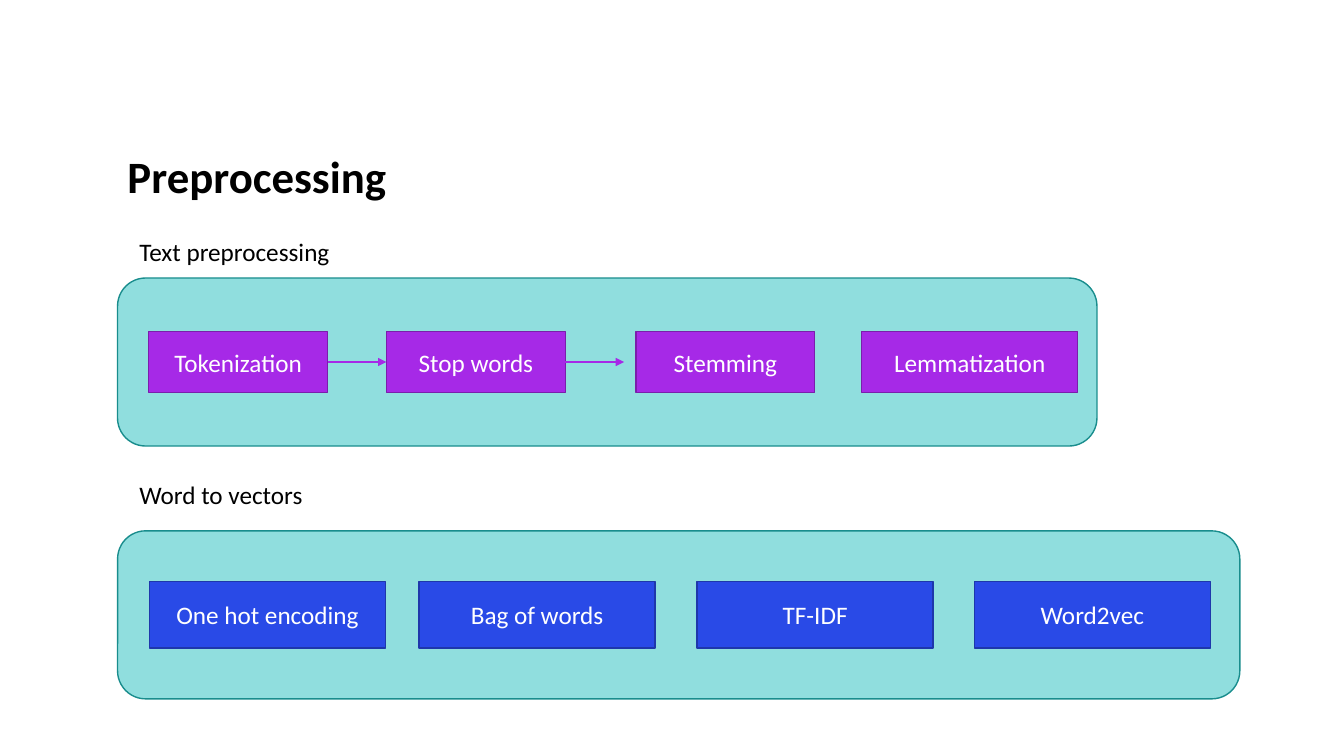
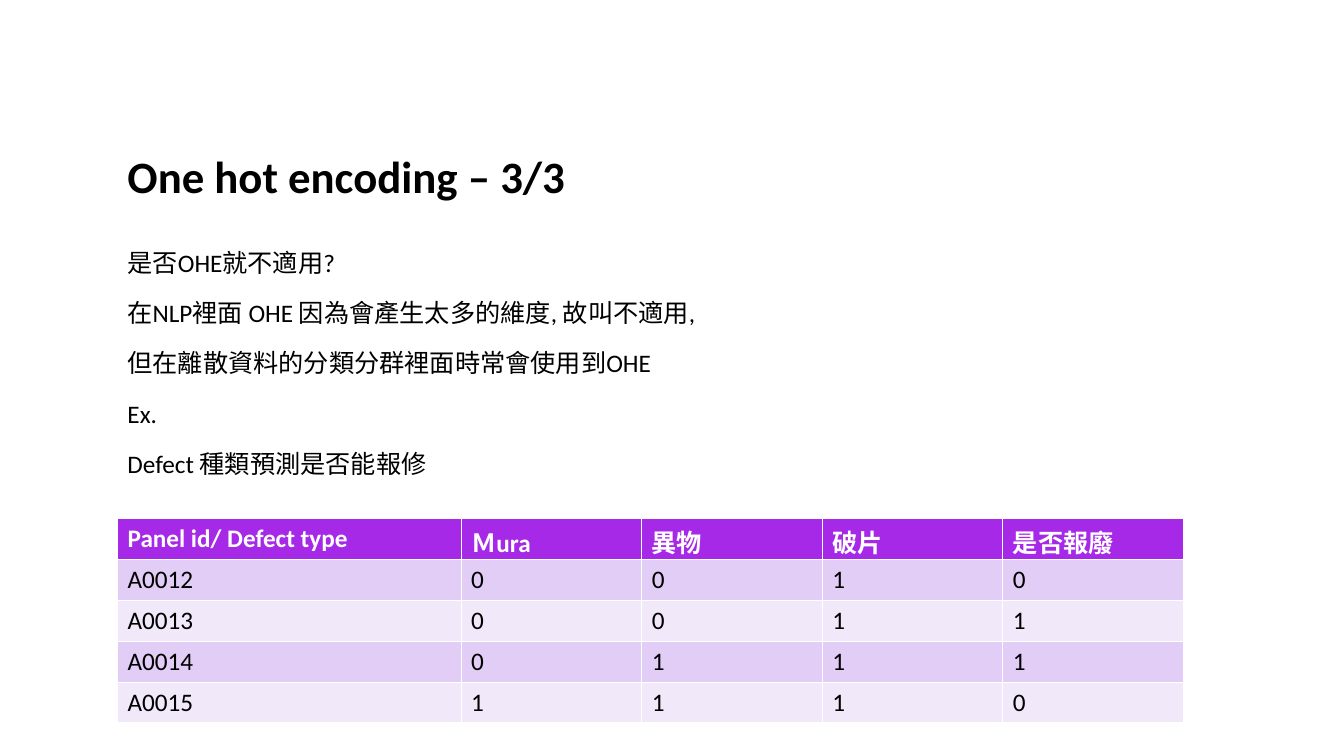
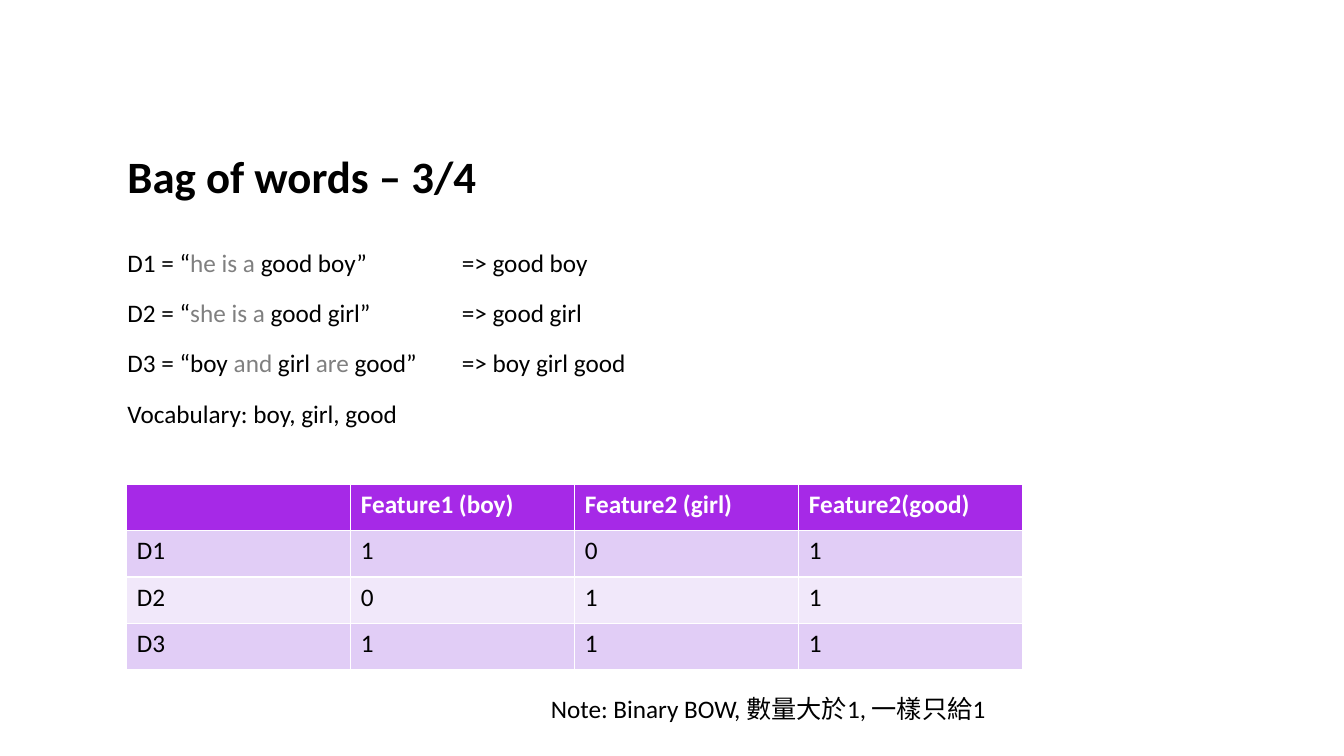
from lxml import etree
from pptx import Presentation
from pptx import util as u
from pptx.dml.color import RGBColor
from pptx.enum import shapes, text
from pptx.oxml.ns import qn

BLACK, WHITE, GREY = "000000", "FFFFFF", "808080"
PURPLE, PURPLE_EDGE = "A629E7", "7B1EAB"
BLUE, BLUE_EDGE = "294AE7", "1E37AB"
TEAL, TEAL_EDGE = "22BFBE", "198D8D"
BANDS = ("E1CDF6", "F1E8FA")
LEFT, CONTENT_WIDTH = 14, 116.6
PANEL_HEIGHT, LABEL_HEIGHT = 20, 4.8


def colour(value):
    return RGBColor.from_string(value)


class Deck:
    """Holds the style and the current slide, measured on a grid of 160 columns by 90 rows."""

    font_name = "Calibri"
    text_size = 18
    title_size = 32

    def __init__(self, columns=160, rows=90):
        self.presentation = Presentation()
        self.presentation.slide_width = u.Inches(13.333333)
        self.presentation.slide_height = u.Inches(7.5)
        self.cell = self.presentation.slide_height / rows
        self.presentation.slide_width = self.grid(columns)

    def grid(self, *cells):
        lengths = [u.Emu(round(cell * self.cell)) for cell in cells]
        return lengths if len(lengths) > 1 else lengths[0]

    def add_slide(self, title):
        self.slide = self.presentation.slides.add_slide(self.presentation.slide_layouts[6])
        frame = self.text_box(LEFT, 12.25, CONTENT_WIDTH, 12.5)
        frame.vertical_anchor = text.MSO_ANCHOR.BOTTOM
        paragraph = frame.paragraphs[0]
        paragraph.line_spacing = 0.9
        self.run(paragraph, title, size=self.title_size, bold=True)

    def run(self, paragraph, words, ink=BLACK, size=None, bold=False):
        run = paragraph.add_run()
        run.text = words
        run.font.name = self.font_name
        run.font.size = u.Pt(size or self.text_size)
        run.font.bold = bold
        run.font.color.rgb = colour(ink)

    def text_box(self, left, top, width, height):
        frame = self.slide.shapes.add_textbox(*self.grid(left, top, width, height)).text_frame
        frame.word_wrap = True
        return frame

    def label(self, words, left, top, width):
        frame = self.text_box(left, top, width, LABEL_HEIGHT)
        frame.word_wrap = False
        frame.auto_size = text.MSO_AUTO_SIZE.SHAPE_TO_FIT_TEXT
        self.run(frame.paragraphs[0], words)

    def body(self, lines, tab=None):
        frame = self.text_box(LEFT, 28.1, CONTENT_WIDTH, 48.2)
        for index, line in enumerate(lines):
            paragraph = frame.add_paragraph() if index else frame.paragraphs[0]
            paragraph.line_spacing = 1.2
            if index:
                paragraph.space_before = u.Pt(10)
            if tab:
                tabs = etree.SubElement(paragraph._p.get_or_add_pPr(), qn("a:tabLst"))
                etree.SubElement(tabs, qn("a:tab"), pos=str(self.grid(tab)), algn="l")
            for words, ink in line:
                self.run(paragraph, words, ink)

    def block(self, kind, left, top, width, height, fill, edge):
        shape = self.slide.shapes.add_shape(kind, *self.grid(left, top, width, height))
        shape.shadow.inherit = False
        shape.fill.solid()
        shape.fill.fore_color.rgb = colour(fill)
        shape.line.color.rgb = colour(edge)
        shape.line.width = u.Pt(1)
        return shape

    def panel(self, top, width):
        kind = shapes.MSO_SHAPE.ROUNDED_RECTANGLE
        shape = self.block(kind, LEFT, top, width, PANEL_HEIGHT, TEAL, TEAL_EDGE)
        fill = shape.element.spPr.find(qn("a:solidFill"))
        etree.SubElement(fill[0], qn("a:alpha"), val="50000")

    def steps(self, panel_top, height, items, fill, edge):
        top = panel_top + (PANEL_HEIGHT - height) / 2
        boxes = []
        for words, left, width in items:
            shape = self.block(shapes.MSO_SHAPE.RECTANGLE, left, top, width, height, fill, edge)
            shape.text_frame.vertical_anchor = text.MSO_ANCHOR.MIDDLE
            paragraph = shape.text_frame.paragraphs[0]
            paragraph.alignment = text.PP_ALIGN.CENTER
            self.run(paragraph, words, WHITE)
            boxes.append(shape)
        return boxes

    def arrow(self, source, length, target=None):
        x, y = source.left + source.width, source.top + source.height // 2
        end = x + self.grid(length)
        connector = self.slide.shapes.add_connector(shapes.MSO_CONNECTOR.STRAIGHT, x, y, end, y)
        connector.begin_connect(source, 3)
        if target is not None:
            connector.end_connect(target, 1)
        connector.line.color.rgb = colour(PURPLE)
        connector.line.width = u.Pt(1.5)
        properties = connector.element.spPr
        etree.SubElement(properties.find(qn("a:ln")), qn("a:tailEnd"), type="triangle")
        etree.SubElement(properties, qn("a:effectLst"))

    def table(self, left, top, widths, row_height, rows):
        area = self.grid(left, top, sum(widths), row_height * len(rows))
        table = self.slide.shapes.add_table(len(rows), len(widths), *area).table
        for column, width in zip(table.columns, widths):
            column.width = self.grid(width)
        for row_index, row in enumerate(rows):
            header = row_index == 0
            table.rows[row_index].height = self.grid(row_height)
            for column_index, words in enumerate(row):
                cell = table.cell(row_index, column_index)
                cell.fill.solid()
                cell.fill.fore_color.rgb = colour(PURPLE if header else BANDS[(row_index - 1) % 2])
                if words:
                    paragraph = cell.text_frame.paragraphs[0]
                    self.run(paragraph, words, WHITE if header else BLACK, bold=header)


def preprocessing(deck):
    deck.add_slide("Preprocessing")
    text_top, vector_top = 33.1, 63.2
    deck.panel(text_top, CONTENT_WIDTH)
    tokenization, stop_words, *_ = deck.steps(text_top, 7.3, [
        ("Tokenization", 17.7, 21.3),
        ("Stop words", 46, 21.3),
        ("Stemming", 75.7, 21.3),
        ("Lemmatization", 102.6, 25.7),
    ], PURPLE, PURPLE_EDGE)
    deck.arrow(tokenization, 7, stop_words)
    deck.arrow(stop_words, 7)
    deck.label("Text preprocessing", 15.4, 27.5, 29.4)
    deck.panel(vector_top, 133.6)
    deck.label("Word to vectors", 15.4, 56.5, 24.8)
    deck.steps(vector_top, 7.9, [
        ("One hot encoding", 17.8, 28.1),
        ("Bag of words", 49.9, 28.1),
        ("TF-IDF", 83, 28.1),
        ("Word2vec", 116, 28.1),
    ], BLUE, BLUE_EDGE)


def one_hot_encoding(deck):
    deck.add_slide("One hot encoding – 3/3")
    lines = [
        "是否OHE就不適用?",
        "在NLP裡面 OHE 因為會產生太多的維度, 故叫不適用,",
        "但在離散資料的分類分群裡面時常會使用到OHE",
        "Ex.",
        "Defect 種類預測是否能報修",
    ]
    deck.body([[(line, BLACK)] for line in lines])
    deck.table(LEFT, 61.75, [40.9] + [21.5] * 4, 4.87, [
        ("Panel id/ Defect type", "Ｍura", "異物", "破片", "是否報廢"),
        ("A0012", "0", "0", "1", "0"),
        ("A0013", "0", "0", "1", "1"),
        ("A0014", "0", "1", "1", "1"),
        ("A0015", "1", "1", "1", "0"),
    ])


def bag_of_words(deck):
    deck.add_slide("Bag of words – 3/4")
    deck.body([
        [("D1 = “", BLACK), ("he is a ", GREY), ("good boy”\t=> good boy", BLACK)],
        [("D2 = “", BLACK), ("she is a ", GREY), ("good girl”\t=> good girl", BLACK)],
        [("D3 = “boy ", BLACK), ("and", GREY), (" girl ", BLACK), ("are", GREY),
         (" good”\t=> boy girl good", BLACK)],
        [("Vocabulary: boy, girl, good", BLACK)],
    ], tab=39.8)
    deck.table(15.1, 57.7, [26.67] * 4, 5.5, [
        ("", "Feature1 (boy)", "Feature2 (girl)", "Feature2(good)"),
        ("D1", "1", "0", "1"),
        ("D2", "0", "1", "1"),
        ("D3", "1", "1", "1"),
    ])
    deck.label("Note: Binary BOW, 數量大於1, 一樣只給1", 64.4, 82, 57.2)


def main():
    deck = Deck()
    preprocessing(deck)
    one_hot_encoding(deck)
    bag_of_words(deck)
    deck.presentation.save("out.pptx")


if __name__ == "__main__":
    main()
